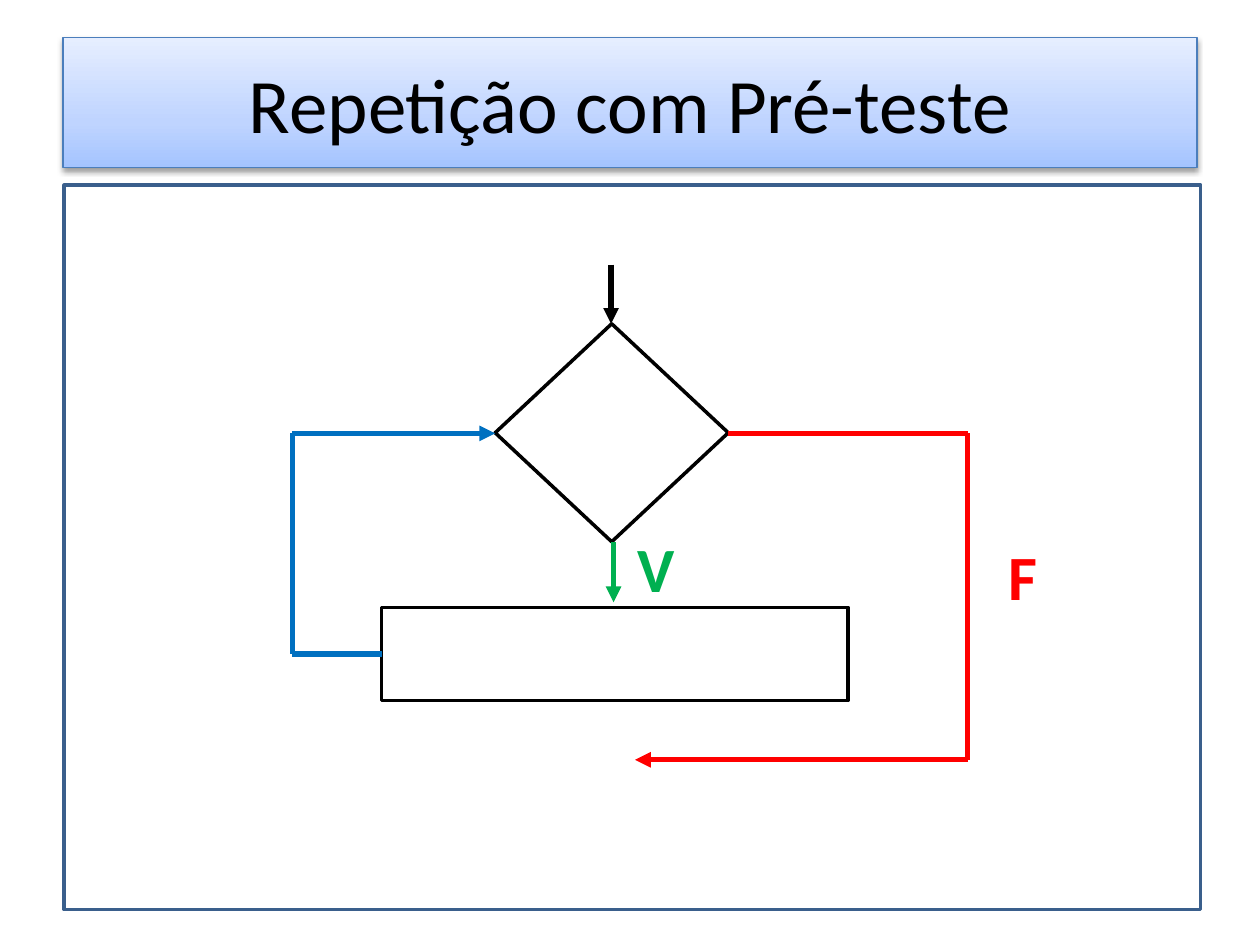
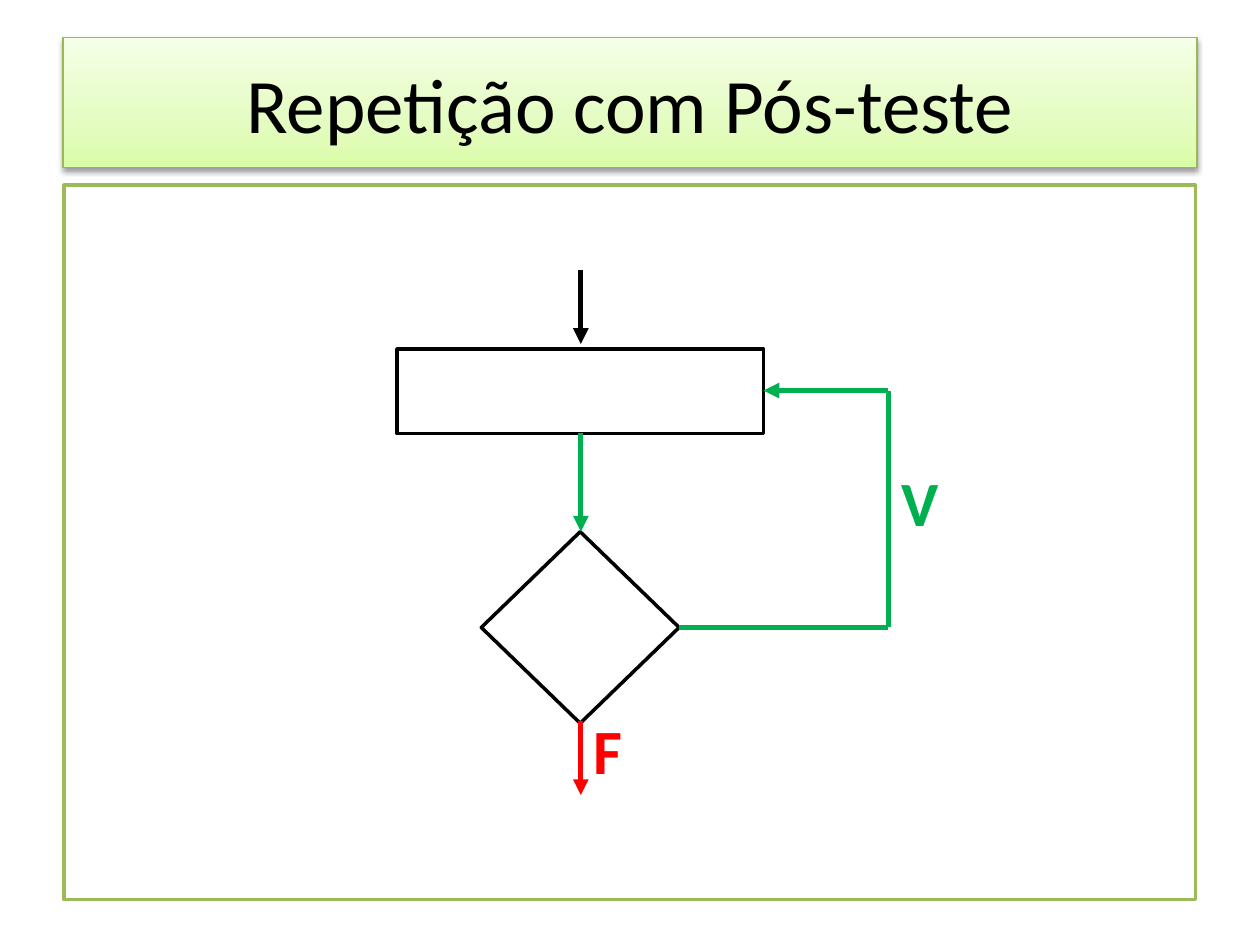
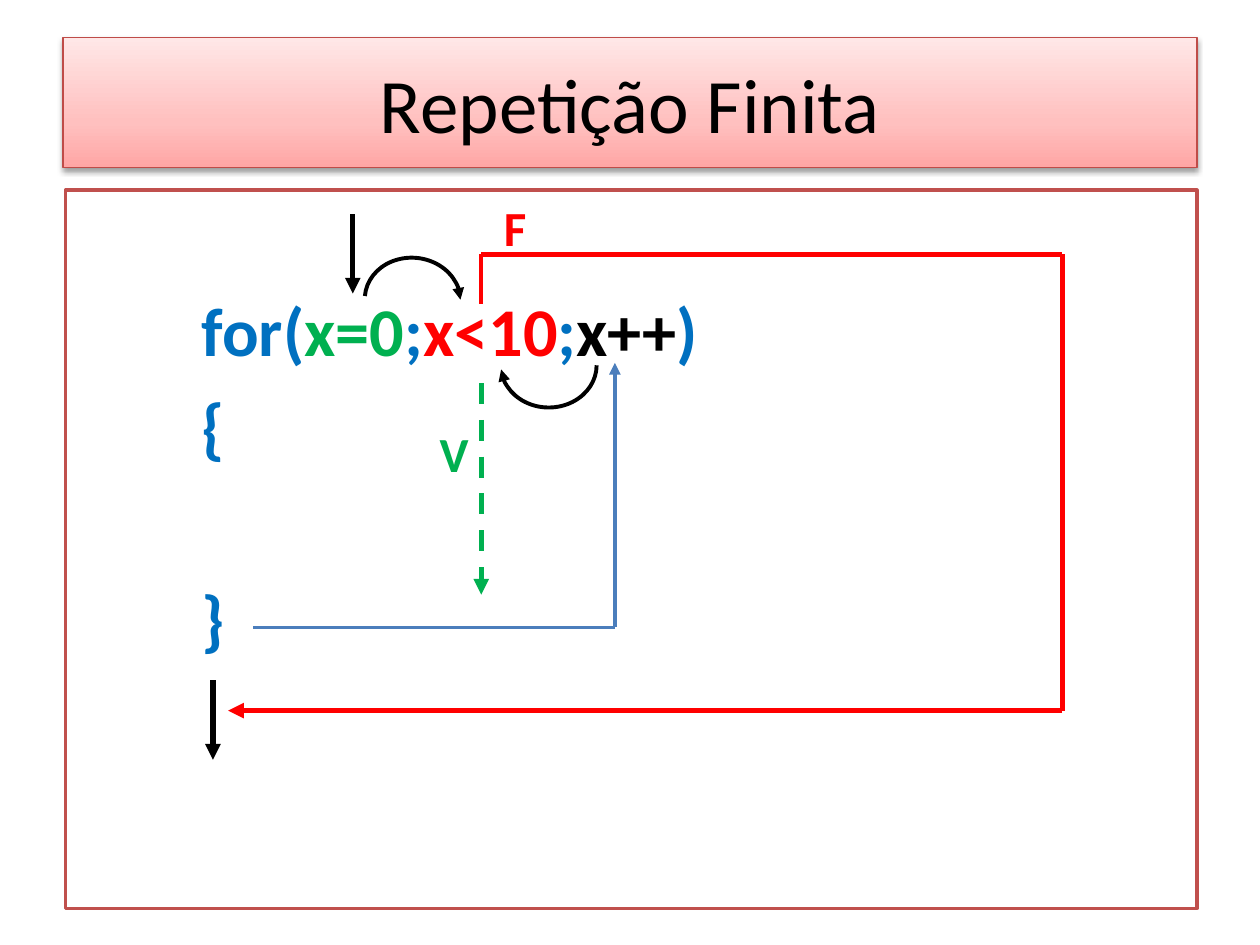
from dataclasses import dataclass
from itertools import pairwise

from lxml.etree import SubElement
from pptx import Presentation
from pptx.dml.color import RGBColor
from pptx.enum.dml import MSO_LINE
from pptx.enum.shapes import MSO_CONNECTOR, MSO_SHAPE
from pptx.enum.text import MSO_ANCHOR, MSO_AUTO_SIZE, PP_ALIGN
from pptx.oxml import parse_xml
from pptx.oxml.ns import nsdecls, qn
from pptx.util import Inches, Pt


@dataclass(frozen=True)
class Theme:
    """Colours, font and sizes shared by all pages."""
    font: str = "Calibri"
    black: str = "000000"
    white: str = "FFFFFF"
    red: str = "FF0000"
    green: str = "00B050"
    blue: str = "0070C0"
    steel: str = "4B7EBC"
    title_size: int = 44
    code_size: int = 39
    label_size: int = 36
    small_label_size: int = 28
    outline: float = 2
    thin: float = 2.25
    thick: float = 3
    # title stops from bottom to top, title border, frame border
    blue_band: tuple = ("A4C4FF", "BFD4FF", "E6EEFF", "4B7EBC", "3A5F8C")
    green_band: tuple = ("DAFDA7", "E4FCC2", "F5FFE7", "98B955", "9BBB59")
    red_band: tuple = ("FFA6A5", "FFC0BF", "FFE7E7", "BF4C48", "C0504D")


theme = Theme()
deck = Presentation()
deck.slide_width, deck.slide_height = Inches(10), Inches(7.5)


def style_line(shape, color, width, arrow=False, dashed=False):
    """Set the line of a shape or connector and remove its shadow."""
    shape.line.color.rgb = RGBColor.from_string(color)
    shape.line.width = Pt(width)
    if dashed:
        shape.line.dash_style = MSO_LINE.DASH
    properties = shape._element.spPr
    if arrow:
        SubElement(properties.find(qn("a:ln")), qn("a:tailEnd"), type="triangle")
    SubElement(properties, qn("a:effectLst"))


def start_page(title, band, left, top, width, height):
    """Add a page with its title band and frame; return page and frame."""
    page = deck.slides.add_slide(deck.slide_layouts[6])
    frame = page.shapes.add_shape(MSO_SHAPE.RECTANGLE, Inches(left), Inches(top),
                                  Inches(width), Inches(height))
    frame.fill.background()
    style_line(frame, band[4], theme.outline)

    box = page.shapes.add_shape(MSO_SHAPE.RECTANGLE, Inches(0.5), Inches(0.3),
                                Inches(9), Inches(1.03))
    box.line.color.rgb = RGBColor.from_string(band[3])
    box.line.width = Pt(0.75)
    stops = "".join(f'<a:gs pos="{place}000"><a:srgbClr val="{color}"/></a:gs>'
                    for place, color in zip((0, 35, 100), band))
    properties = box._element.spPr
    properties.find(qn("a:ln")).addprevious(parse_xml(
        f'<a:gradFill {nsdecls("a")} rotWithShape="1"><a:gsLst>{stops}</a:gsLst>'
        '<a:lin ang="16200000" scaled="1"/></a:gradFill>'))
    properties.append(parse_xml(
        f'<a:effectLst {nsdecls("a")}><a:outerShdw blurRad="{Pt(3.1)}" dist="{Pt(1.6)}" '
        'dir="5400000" rotWithShape="0"><a:srgbClr val="000000"><a:alpha val="38000"/>'
        '</a:srgbClr></a:outerShdw></a:effectLst>'))
    box.text_frame.vertical_anchor = MSO_ANCHOR.MIDDLE
    para = box.text_frame.paragraphs[0]
    para.text = title
    para.alignment = PP_ALIGN.CENTER
    para.font.name = theme.font
    para.font.size = Pt(theme.title_size)
    para.font.color.rgb = RGBColor.from_string(theme.black)
    return page, frame


pre_test, _ = start_page("Repetição com Pré-teste", theme.blue_band, 0.51, 1.47, 9.02, 5.75)
post_test, _ = start_page("Repetição com Pós-teste", theme.green_band, 0.51, 1.47, 8.98, 5.67)
finite, code_frame = start_page("Repetição Finita", theme.red_band, 0.52, 1.51, 8.98, 5.7)

# Code of the finite loop
code_lines = [
    (0, [("for(", theme.blue), ("x=0", theme.green), (";", theme.blue),
         ("x<10", theme.red), (";", theme.blue), ("x++", theme.black), (")", theme.blue)]),
    (7.8, [("{", theme.blue)]),
    (63.2, [("}", theme.blue)]),
]
code = code_frame.text_frame
code.word_wrap = True
code.vertical_anchor = MSO_ANCHOR.TOP
code.margin_left, code.margin_top = Inches(1.08), Inches(0.78)
for index, (space, spans) in enumerate(code_lines):
    para = code.add_paragraph() if index else code.paragraphs[0]
    para.alignment = PP_ALIGN.LEFT
    para.space_before = Pt(space)
    para.font.name = theme.font
    para.font.size = Pt(theme.code_size)
    para.font.bold = True
    for text, color in spans:
        span = para.add_run()
        span.text = text
        span.font.color.rgb = RGBColor.from_string(color)

# Flowchart nodes: page, preset, left, top, width, height
nodes = [
    (pre_test, MSO_SHAPE.RECTANGLE, 3.03, 4.82, 3.7, 0.74),
    (pre_test, MSO_SHAPE.FLOWCHART_DECISION, 3.93, 2.57, 1.85, 1.73),
    (post_test, MSO_SHAPE.FLOWCHART_DECISION, 3.82, 4.22, 1.57, 1.52),
    (post_test, MSO_SHAPE.RECTANGLE, 3.15, 2.77, 2.91, 0.67),
]
for page, preset, *place in nodes:
    node = page.shapes.add_shape(preset, *map(Inches, place))
    node.fill.solid()
    node.fill.fore_color.rgb = RGBColor.from_string(theme.white)
    style_line(node, theme.black, theme.outline)

# Routes: page, colour, width, ends in an arrow, dashed, corner points
routes = [
    (pre_test, theme.black, theme.thick, True, False, [(4.85, 2.1), (4.85, 2.57)]),
    (pre_test, theme.green, theme.thick, True, False, [(4.87, 4.3), (4.87, 4.78)]),
    (pre_test, theme.red, theme.thick, True, False,
     [(5.78, 3.44), (7.68, 3.44), (7.68, 6.03), (5.04, 6.03)]),
    (pre_test, theme.blue, theme.thick, True, False,
     [(3.03, 5.19), (2.32, 5.19), (2.32, 3.44), (3.93, 3.44)]),
    (post_test, theme.green, theme.thick, True, False, [(4.61, 3.44), (4.61, 4.22)]),
    (post_test, theme.black, theme.thick, True, False, [(4.61, 2.14), (4.61, 2.73)]),
    (post_test, theme.red, theme.thick, True, False, [(4.61, 5.72), (4.61, 6.31)]),
    (post_test, theme.green, theme.thick, True, False,
     [(5.39, 4.98), (7.05, 4.98), (7.05, 3.1), (6.06, 3.1)]),
    (finite, theme.black, theme.thick, True, False, [(1.69, 5.4), (1.69, 6.03)]),
    (finite, theme.black, theme.thick, True, False, [(2.8, 1.7), (2.8, 2.33)]),
    (finite, theme.green, theme.thick, True, True, [(3.82, 3.04), (3.82, 4.72)]),
    (finite, theme.red, theme.thick, True, False,
     [(3.82, 2.02), (8.43, 2.02), (8.43, 5.64), (1.81, 5.64)]),
    (finite, theme.red, theme.thin, False, False, [(3.82, 2.02), (3.82, 2.41)]),
    (finite, theme.steel, theme.thin, True, False,
     [(2.01, 4.98), (4.88, 4.98), (4.88, 2.88)]),
]
for page, color, width, arrow, dashed, points in routes:
    for start, end in pairwise(points):
        line = page.shapes.add_connector(MSO_CONNECTOR.STRAIGHT, *map(Inches, start + end))
        style_line(line, color, width, arrow and end == points[-1], dashed)

# Curved arrows between the parts of the for statement
for left, top, rotation in [(2.94, 2, 274.7), (4.02, 2.52, 90)]:
    arc = finite.shapes.add_shape(MSO_SHAPE.ARC, Inches(left), Inches(top),
                                  Inches(0.67), Inches(0.76))
    arc.rotation = rotation
    arc.adjustments[0], arc.adjustments[1] = 162, 51
    arc.fill.background()
    style_line(arc, theme.black, theme.thin, arrow=True)

# Branch labels: page, text, colour, size, left, top, width, height
labels = [
    (pre_test, "F", theme.red, theme.label_size, 7.91, 4.22, 0.43, 0.71),
    (pre_test, "V", theme.green, theme.label_size, 4.96, 4.15, 0.5, 0.71),
    (post_test, "F", theme.red, theme.label_size, 4.61, 5.6, 0.43, 0.71),
    (post_test, "V", theme.green, theme.label_size, 7.06, 3.63, 0.5, 0.71),
    (finite, "V", theme.green, theme.small_label_size, 3.39, 3.31, 0.43, 0.57),
    (finite, "F", theme.red, theme.small_label_size, 3.9, 1.52, 0.38, 0.57),
]
for page, text, color, size, *place in labels:
    box = page.shapes.add_textbox(*map(Inches, place))
    box.text_frame.word_wrap = False
    box.text_frame.auto_size = MSO_AUTO_SIZE.SHAPE_TO_FIT_TEXT
    para = box.text_frame.paragraphs[0]
    para.text = text
    para.font.name = theme.font
    para.font.size = Pt(size)
    para.font.bold = True
    para.font.color.rgb = RGBColor.from_string(color)

deck.save("out.pptx")
